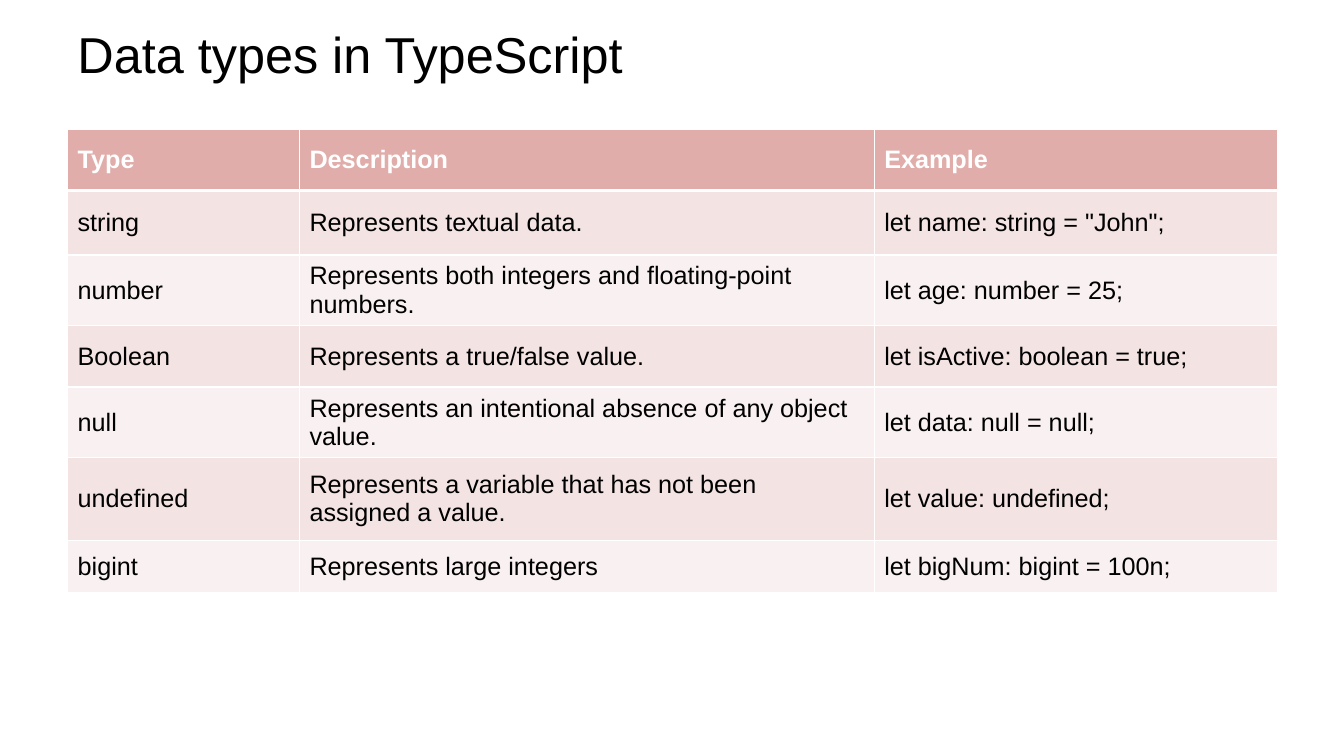
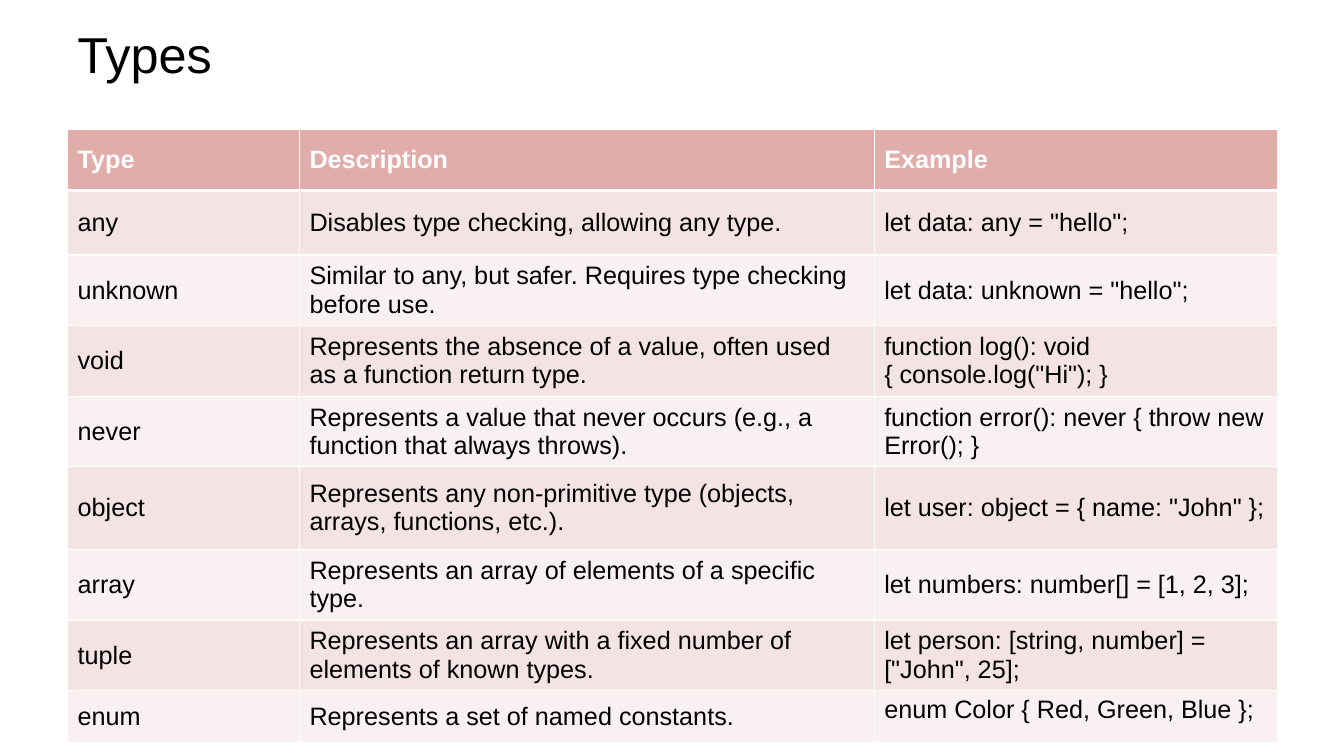
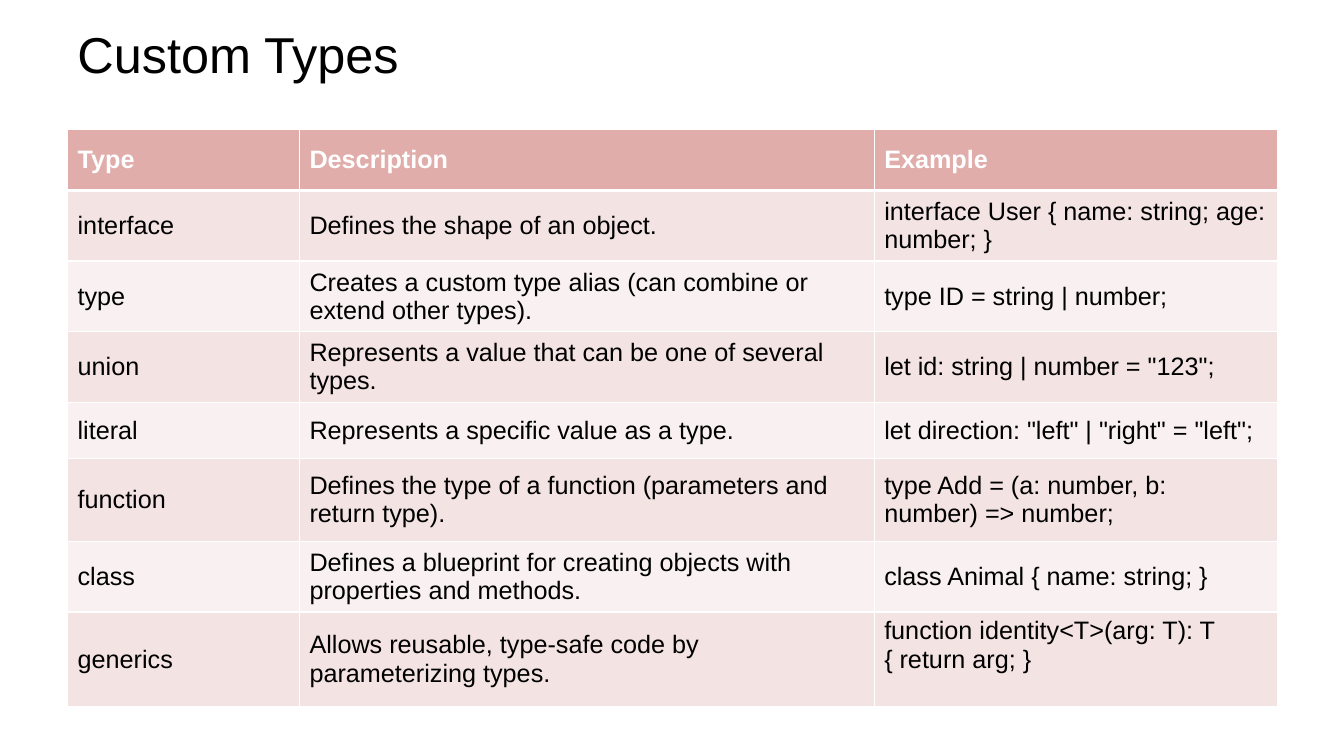
from pptx import Presentation
from pptx.dml.color import RGBColor
from pptx.enum.text import MSO_ANCHOR
from pptx.oxml.ns import qn
from pptx.util import Inches, Pt
from lxml.etree import SubElement

FONT = "Arial"
COLORS = {
    "title": "000000",
    "header": "E0ADAA",
    "header_text": "FFFFFF",
    "odd_row": "F3E3E2",
    "even_row": "F9F1F1",
    "body_text": "000000",
    "border": "FFFFFF",
}
LEFT, WIDTH = 0.67, 12
COLUMNS = [("Type", 2.3), ("Description", 5.7), ("Example", 4)]
FIRST_HEIGHTS = [0.61, 0.64, 0.46, 0.61, 0.56, 0.82]
OTHER_HEIGHT = 0.52

DATA_TYPES = [
    ("string", "Represents textual data.", 'let name: string = "John";'),
    ("number", "Represents both integers and floating-point numbers.", "let age: number = 25;"),
    ("Boolean", "Represents a true/false value.", "let isActive: boolean = true;"),
    ("null", "Represents an intentional absence of any object value.", "let data: null = null;"),
    ("undefined", "Represents a variable that has not been assigned a value.", "let value: undefined;"),
    ("bigint", "Represents large integers", "let bigNum: bigint = 100n;"),
]
TYPES = [
    ("any", "Disables type checking, allowing any type.", 'let data: any = "hello";'),
    ("unknown", "Similar to any, but safer. Requires type checking before use.",
     'let data: unknown = "hello";'),
    ("void", "Represents the absence of a value, often used as a function return type.",
     'function log(): void { console.log("Hi"); }'),
    ("never", "Represents a value that never occurs (e.g., a function that always throws).",
     "function error(): never { throw new Error(); }"),
    ("object", "Represents any non-primitive type (objects, arrays, functions, etc.).",
     'let user: object = { name: "John" };'),
    ("array", "Represents an array of elements of a specific type.",
     "let numbers: number[] = [1, 2, 3];"),
    ("tuple", "Represents an array with a fixed number of elements of known types.",
     'let person: [string, number] = ["John", 25];'),
    ("enum", "Represents a set of named constants.", "enum Color { Red, Green, Blue };"),
]
CUSTOM_TYPES = [
    ("interface", "Defines the shape of an object.", "interface User { name: string; age: number; }"),
    ("type", "Creates a custom type alias (can combine or extend other types).",
     "type ID = string | number;"),
    ("union", "Represents a value that can be one of several types.",
     'let id: string | number = "123";'),
    ("literal", "Represents a specific value as a type.",
     'let direction: "left" | "right" = "left";'),
    ("function", "Defines the type of a function (parameters and return type).",
     "type Add = (a: number, b: number) => number;"),
    ("class", "Defines a blueprint for creating objects with properties and methods.",
     "class Animal { name: string; }"),
    ("generics", "Allows reusable, type-safe code by parameterizing types.",
     "function identity<T>(arg: T): T { return arg; }"),
]


def rgb(name):
    return RGBColor.from_string(COLORS[name])


def format_text(tf, size, color, bold=False):
    for p in tf.paragraphs:
        for r in p.runs:
            r.font.name = FONT
            r.font.size = Pt(size)
            r.font.bold = bold
            r.font.color.rgb = rgb(color)


def add_title(s, text):
    sp = s.shapes.add_textbox(Inches(LEFT), Inches(0.21), Inches(WIDTH), Inches(0.64))
    tf = sp.text_frame
    tf.word_wrap = True
    tf.vertical_anchor = MSO_ANCHOR.MIDDLE
    tf.text = text
    format_text(tf, 36, "title")


def set_borders(cell, top, bottom):
    tcPr = cell._tc.get_or_add_tcPr()
    for side, width in (("L", 1), ("R", 1), ("T", top), ("B", bottom)):
        ln = SubElement(tcPr, qn(f"a:ln{side}"), w=str(Pt(width)))
        fill = SubElement(ln, qn("a:solidFill"))
        SubElement(fill, qn("a:srgbClr"), val=COLORS["border"])


def style_cell(cell, text, row):
    header = row == 0
    cell.text = text
    cell.vertical_anchor = MSO_ANCHOR.MIDDLE
    format_text(cell.text_frame, 18, "header_text" if header else "body_text", header)
    set_borders(cell, 3 if row == 1 else 1, 3 if header else 1)
    cell.fill.solid()
    band = "odd_row" if row % 2 else "even_row"
    cell.fill.fore_color.rgb = rgb("header" if header else band)


def add_type_table(s, types, last_height, last_anchor):
    rows = [[name for name, _ in COLUMNS], *types]
    heights = FIRST_HEIGHTS + [OTHER_HEIGHT] * (len(rows) - len(FIRST_HEIGHTS))
    heights[-1] = last_height
    table = s.shapes.add_table(len(rows), len(COLUMNS), Inches(LEFT), Inches(1.28),
                               Inches(WIDTH), Inches(sum(heights))).table
    for column, (_, width) in zip(table.columns, COLUMNS):
        column.width = Inches(width)
    for i, (row, height) in enumerate(zip(rows, heights)):
        table.rows[i].height = Inches(height)
        for j, text in enumerate(row):
            style_cell(table.cell(i, j), text, i)
    table.cell(len(rows) - 1, len(COLUMNS) - 1).vertical_anchor = last_anchor


def add_type_slide(prs, title, types, last_height=OTHER_HEIGHT, last_anchor=MSO_ANCHOR.TOP):
    s = prs.slides.add_slide(prs.slide_layouts[6])
    add_title(s, title)
    add_type_table(s, types, last_height, last_anchor)


def main():
    prs = Presentation()
    prs.slide_width = Inches(13.33)
    prs.slide_height = Inches(7.5)
    add_type_slide(prs, "Data types in TypeScript", DATA_TYPES, last_anchor=MSO_ANCHOR.MIDDLE)
    add_type_slide(prs, "Types", TYPES)
    add_type_slide(prs, "Custom Types", CUSTOM_TYPES, last_height=0.94)
    prs.save("out.pptx")


if __name__ == "__main__":
    main()
